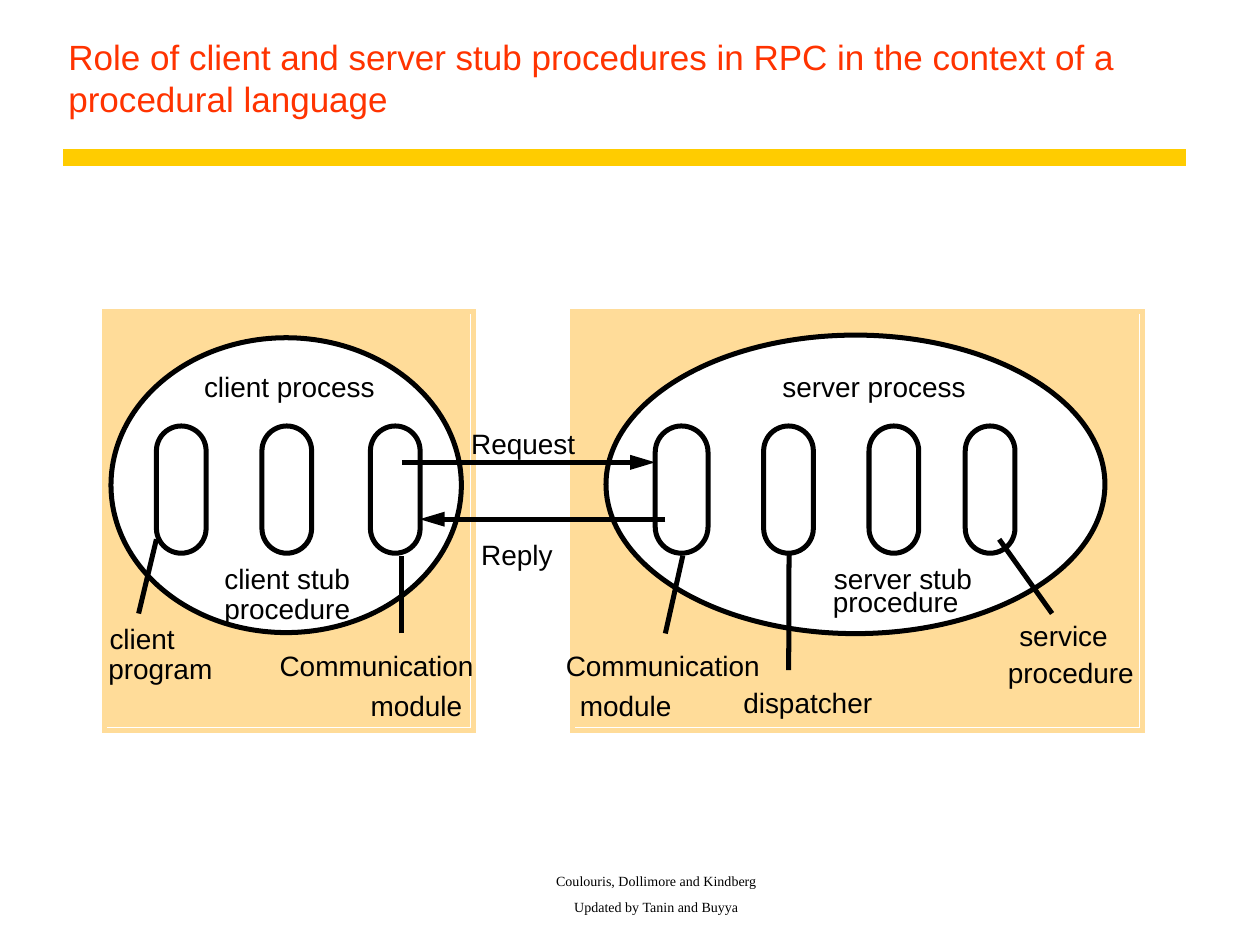
from typing import NamedTuple, Optional

from lxml import etree
from pptx import Presentation
from pptx.dml.color import RGBColor
from pptx.enum.shapes import MSO_CONNECTOR, MSO_SHAPE
from pptx.enum.text import MSO_ANCHOR, MSO_AUTO_SIZE, PP_ALIGN
from pptx.oxml.ns import qn
from pptx.util import Pt

STRAIGHT = MSO_CONNECTOR.STRAIGHT
RECTANGLE = MSO_SHAPE.RECTANGLE
OVAL = MSO_SHAPE.OVAL
PILL = MSO_SHAPE.ROUNDED_RECTANGLE
TOP, BOTTOM = MSO_ANCHOR.TOP, MSO_ANCHOR.BOTTOM
LEFT, CENTER = PP_ALIGN.LEFT, PP_ALIGN.CENTER
FIT_SHAPE, NO_FIT = MSO_AUTO_SIZE.SHAPE_TO_FIT_TEXT, MSO_AUTO_SIZE.NONE

BLACK = RGBColor(0x00, 0x00, 0x00)
WHITE = RGBColor(0xFF, 0xFF, 0xFF)
RED = RGBColor(0xFF, 0x33, 0x00)
YELLOW = RGBColor(0xFF, 0xCC, 0x00)
SAND = RGBColor(0xFF, 0xDC, 0x99)

STROKE = 2.86
PILL_TOP, PILL_HEIGHT = 243.4, 72.7


class Area(NamedTuple):
    left: float
    top: float
    width: float
    height: float


class Label(NamedTuple):
    text: str
    left: float
    top: float
    width: float


class Segment(NamedTuple):
    x1: float
    y1: float
    x2: float
    y2: float
    arrow: bool = False


class Pill(NamedTuple):
    left: float
    width: float = 28.4


PANELS = [Area(59.8, 177.8, 208.8, 237.6), Area(326.9, 177.8, 324, 237.6)]
PROCESSES = [Area(346.3, 191.5, 285.1, 170.6), Area(63.4, 193, 200.2, 168.5)]
PILLS = [
    Pill(89.4), Pill(149.7), Pill(211.7),
    Pill(374.4, 30.2), Pill(436.4), Pill(496.6), Pill(551.6),
]
SEGMENTS = [
    Segment(229.7, 264.2, 374.4, 264.2, arrow=True),
    Segment(380.2, 296.7, 239.8, 296.7, arrow=True),
    Segment(380.2, 362, 390.2, 317.5),
    Segment(229.7, 362, 229.7, 317.5),
    Segment(79.2, 350.6, 89.4, 308.2),
    Segment(601.2, 350.6, 571, 308.2),
    Segment(450.7, 383, 450.9, 316.1),
]
LABELS = [
    Label("client process", 116.6, 211.4, 102.2),
    Label("server process", 447.1, 211.4, 109.4),
    Label("Request", 269.3, 243.8, 59.8),
    Label("Reply", 275, 307.4, 41),
    Label("client stub", 128.2, 321.1, 72),
    Label("procedure", 128.2, 337.9, 72),
    Label("server stub", 476.6, 321.1, 79.2),
    Label("procedure", 475.9, 334.1, 72),
    Label("client", 62.6, 355, 41.8),
    Label("program", 61.9, 372.2, 64.1),
    Label("Communication", 159.8, 370.8, 112),
    Label("module", 211.8, 393.6, 54),
    Label("Communication", 323.3, 370.8, 112),
    Label("module", 331.3, 393.6, 54),
    Label("dispatcher", 424.8, 391.7, 78),
    Label("service", 582.5, 353.5, 54.7),
    Label("procedure", 576, 374.4, 72),
]


def add_text(page, text: str, area: Area, *, size: float = 16, font: str = "Arial",
             color: RGBColor = BLACK, align=LEFT, anchor=TOP, wrap: bool = False,
             inset_x: float = 0, inset_y: float = 0, gap: float = 0):
    """Add a text box; each line of text is a paragraph, with gap between them."""
    box = page.shapes.add_textbox(*map(Pt, area))
    frame = box.text_frame
    frame.margin_left = frame.margin_right = Pt(inset_x)
    frame.margin_top = frame.margin_bottom = Pt(inset_y)
    frame.word_wrap = wrap
    frame.auto_size = NO_FIT if wrap else FIT_SHAPE
    frame.vertical_anchor = anchor
    for index, line in enumerate(text.split("\n")):
        para = frame.add_paragraph() if index else frame.paragraphs[0]
        para.alignment = align
        para.space_before = Pt(gap if index else 0)
        span = para.add_run()
        span.text = line
        span.font.name = font
        span.font.size = Pt(size)
        span.font.color.rgb = color
    return box


def add_figure(page, kind, area: Area, *, fill: Optional[RGBColor] = None,
               line: Optional[RGBColor] = None):
    figure = page.shapes.add_shape(kind, *map(Pt, area))
    figure.shadow.inherit = False
    if fill is None:
        figure.fill.background()
    else:
        figure.fill.solid()
        figure.fill.fore_color.rgb = fill
    if line is None:
        figure.line.fill.background()
    else:
        figure.line.color.rgb = line
        figure.line.width = Pt(STROKE)
    return figure


def add_panel(page, area: Area) -> None:
    """Add a filled panel and its slightly larger, square-cornered frame."""
    add_figure(page, RECTANGLE, area, fill=SAND)
    outer = area._replace(width=area.width + 2, height=area.height + 2)
    frame = add_figure(page, RECTANGLE, outer, line=SAND)
    etree.SubElement(frame.line._get_or_add_ln(), qn("a:miter"), lim="800000")


def add_pill(page, pill: Pill) -> None:
    area = Area(pill.left, PILL_TOP, pill.width, PILL_HEIGHT)
    add_figure(page, PILL, area, line=BLACK).adjustments[0] = 0.5


def add_segment(page, segment: Segment, *, color: RGBColor = BLACK,
                width: float = STROKE) -> None:
    connector = page.shapes.add_connector(STRAIGHT, *map(Pt, segment[:4]))
    connector.line.color.rgb = color
    connector.line.width = Pt(width)
    if segment.arrow:
        etree.SubElement(connector.line._get_or_add_ln(), qn("a:tailEnd"),
                         type="triangle", w="med", len="lg")
    etree.SubElement(connector._element.spPr, qn("a:effectLst"))


def main() -> None:
    deck = Presentation()
    deck.slide_width, deck.slide_height = Pt(720), Pt(540)
    page = deck.slides.add_slide(deck.slide_layouts[6])

    add_segment(page, Segment(36, 90, 678, 90), color=YELLOW, width=10)
    add_text(page, "Coulouris, Dollimore and Kindberg\nUpdated by Tanin and Buyya",
             Area(156.2, 504, 437.8, 22.3), size=8, font="Times New Roman",
             align=CENTER, anchor=BOTTOM, wrap=True, inset_x=7.2, inset_y=3.6, gap=5)
    add_text(page, "Role of client and server stub procedures in RPC "
             "in the context of a procedural language",
             Area(32, 18, 645.8, 54), size=20, color=RED, anchor=BOTTOM,
             wrap=True, inset_x=7.2, inset_y=3.6)

    for panel in PANELS:
        add_panel(page, panel)
    for process in PROCESSES:
        add_figure(page, OVAL, process, fill=WHITE, line=BLACK)
    for pill in PILLS:
        add_pill(page, pill)
    for segment in SEGMENTS:
        add_segment(page, segment)
    for label in LABELS:
        add_text(page, label.text, Area(label.left, label.top, label.width, 19.4))

    deck.save("out.pptx")


if __name__ == "__main__":
    main()
